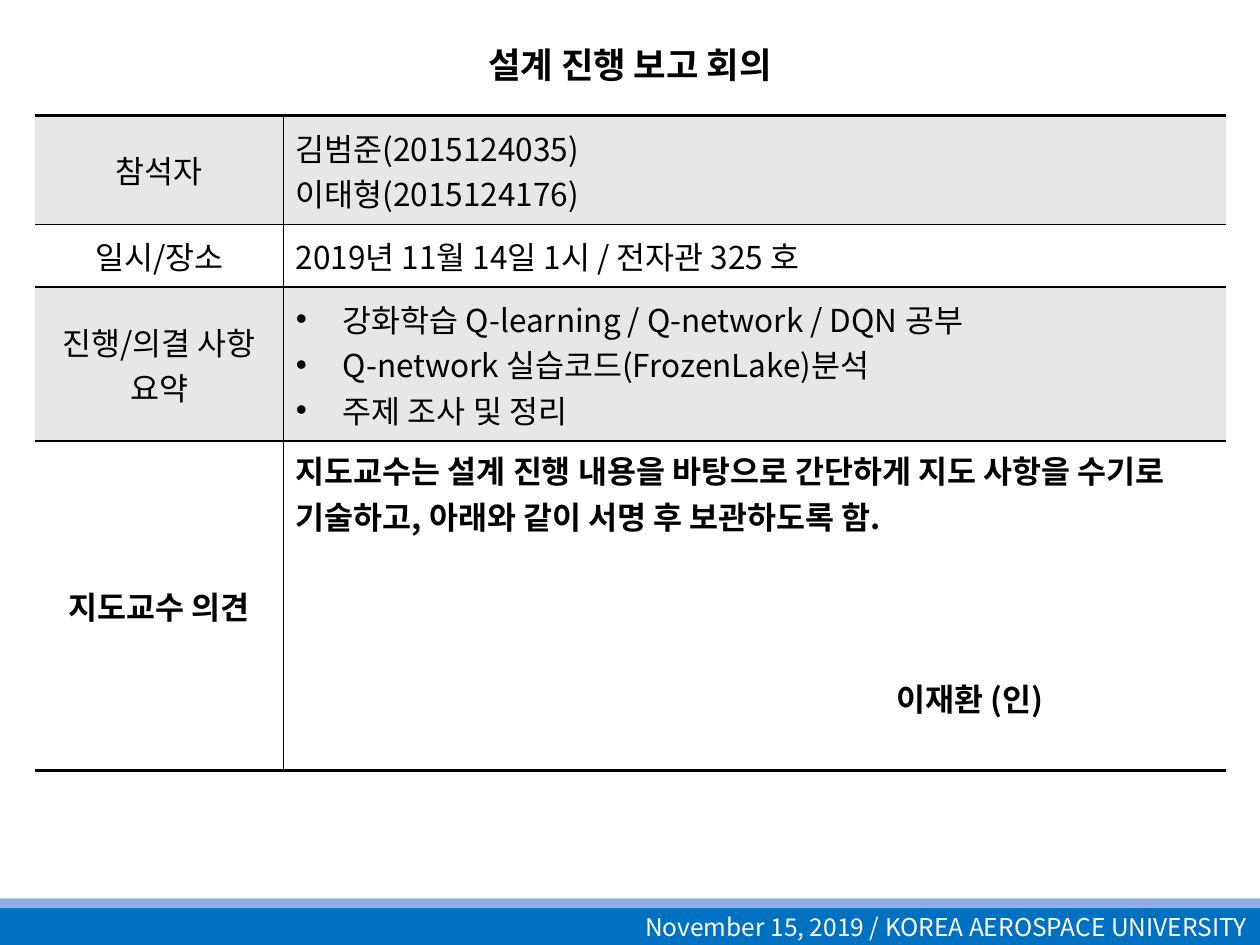
from lxml.etree import SubElement
from pptx import Presentation
from pptx.dml.color import RGBColor
from pptx.enum.shapes import MSO_SHAPE
from pptx.enum.text import MSO_ANCHOR, PP_ALIGN
from pptx.oxml.ns import qn
from pptx.util import Cm, Pt

TITLE = "설계 진행 보고 회의"
FOOTER = "November 15, 2019 / KOREA AEROSPACE UNIVERSITY"
ROWS = [
    {"label": "참석자", "height": 2.2,
     "lines": ["김범준(2015124035)", "이태형(2015124176)"]},
    {"label": "일시/장소", "height": 1.26,
     "lines": ["2019년 11월 14일 1시 / 전자관 325 호"]},
    {"label": "진행/의결 사항 요약", "height": 3.1, "bulleted": True,
     "lines": ["강화학습 Q-learning / Q-network / DQN 공부",
               "Q-network 실습코드(FrozenLake)분석",
               "주제 조사 및 정리"]},
    {"label": "지도교수 의견", "height": 6.65, "bold": True,
     "lines": ["지도교수는 설계 진행 내용을 바탕으로 간단하게 지도 사항을 수기로 "
               "기술하고, 아래와 같이 서명 후 보관하도록 함."],
     "signature": "이재환 (인)"},
]
THEME = {
    "font": "Noto Sans CJK KR",
    "title_size": 25.2, "body_size": 18, "footer_size": 14,
    "text": "000000", "footer_text": "FFFFFF",
    "bar": "0070C0", "stripe": "8FADE9",
    "row_fills": ("E7E7E7", "FFFFFF"),
}
SLIDE_WIDTH, SLIDE_HEIGHT = 25.4, 19.05
TABLE_LEFT, TABLE_TOP = 0.71, 2.33
COLUMN_WIDTHS = (5, 19)
BAR_HEIGHT, STRIPE_HEIGHT = 0.74, 0.2
BULLET_INDENT = 0.95
SIGNATURE_INDENT, SIGNATURE_GAP = 12.1, 78


def style_paragraph(paragraph, size, color, bold=False, align=PP_ALIGN.LEFT):
    paragraph.alignment = align
    for run in paragraph.runs:
        font = run.font
        font.size, font.bold, font.name = Pt(size), bold, THEME["font"]
        font.color.rgb = RGBColor.from_string(color)
        SubElement(font._element, qn("a:ea"), typeface=THEME["font"])


def set_indent(paragraph, left, first_line=0):
    properties = paragraph._p.get_or_add_pPr()
    properties.set("marL", str(Cm(left)))
    properties.set("indent", str(Cm(first_line)))
    return properties


def add_bullet(paragraph):
    properties = set_indent(paragraph, BULLET_INDENT, -BULLET_INDENT)
    SubElement(properties, qn("a:buFont"), typeface="Arial")
    SubElement(properties, qn("a:buChar"), char="•")


def set_borders(cell, widths):
    """Draw left, right, top and bottom borders; a width of 0 means none."""
    properties = cell._tc.get_or_add_tcPr()
    for side, width in zip("LRTB", widths):
        line = SubElement(properties, qn(f"a:ln{side}"), w=str(Pt(width)))
        if width:
            fill = SubElement(line, qn("a:solidFill"))
            SubElement(fill, qn("a:srgbClr"), val=THEME["text"])
        else:
            SubElement(line, qn("a:noFill"))


def fill_cell(cell, lines, align=PP_ALIGN.LEFT, bold=False):
    cell.text_frame.text = "\n".join(lines)
    for paragraph in cell.text_frame.paragraphs:
        style_paragraph(paragraph, THEME["body_size"], THEME["text"], bold, align)


def add_title(slide):
    title = slide.shapes.title
    title.left, title.top, title.width, title.height = Cm(1.9), Cm(0.53), Cm(21.6), Cm(1.4)
    title.text_frame.text = TITLE
    title.text_frame.vertical_anchor = MSO_ANCHOR.MIDDLE
    paragraph = title.text_frame.paragraphs[0]
    style_paragraph(paragraph, THEME["title_size"], THEME["text"], True, PP_ALIGN.CENTER)
    paragraph.runs[0].font._element.set("cap", "small")


def add_report_table(slide):
    table = slide.shapes.add_table(
        len(ROWS), len(COLUMN_WIDTHS), Cm(TABLE_LEFT), Cm(TABLE_TOP),
        Cm(sum(COLUMN_WIDTHS)), Cm(sum(row["height"] for row in ROWS))).table
    table.first_row = table.horz_banding = False
    for column, width in zip(table.columns, COLUMN_WIDTHS):
        column.width = Cm(width)

    for index, row in enumerate(ROWS):
        table.rows[index].height = Cm(row["height"])
        label, content = table.cell(index, 0), table.cell(index, 1)
        bold = row.get("bold", False)
        signature = row.get("signature")
        fill_cell(label, [row["label"]], PP_ALIGN.CENTER, bold)
        fill_cell(content, row["lines"] + ([signature] if signature else []), bold=bold)

        top = 2 if index == 0 else 1
        bottom = 2 if index == len(ROWS) - 1 else 1
        for cell, left, right in ((label, 0, 1), (content, 1, 0)):
            cell.vertical_anchor = MSO_ANCHOR.MIDDLE
            set_borders(cell, (left, right, top, bottom))
            cell.fill.solid()
            cell.fill.fore_color.rgb = RGBColor.from_string(THEME["row_fills"][index % 2])

        if row.get("bulleted"):
            for paragraph in content.text_frame.paragraphs:
                add_bullet(paragraph)
        if signature:
            content.vertical_anchor = MSO_ANCHOR.TOP
            paragraph = content.text_frame.paragraphs[-1]
            paragraph.space_before = Pt(SIGNATURE_GAP)
            set_indent(paragraph, SIGNATURE_INDENT)


def add_bar(slide, top, height, color):
    bar = slide.shapes.add_shape(
        MSO_SHAPE.RECTANGLE, 0, Cm(top), Cm(SLIDE_WIDTH), Cm(height))
    bar.shadow.inherit = False
    bar.fill.solid()
    bar.fill.fore_color.rgb = RGBColor.from_string(color)
    bar.line.fill.background()
    return bar


def add_footer(slide):
    bar_top = SLIDE_HEIGHT - BAR_HEIGHT
    bar = add_bar(slide, bar_top, BAR_HEIGHT, THEME["bar"])
    bar.text_frame.text = FOOTER
    bar.text_frame.vertical_anchor = MSO_ANCHOR.MIDDLE
    style_paragraph(bar.text_frame.paragraphs[0], THEME["footer_size"],
                    THEME["footer_text"], align=PP_ALIGN.RIGHT)
    add_bar(slide, bar_top - STRIPE_HEIGHT, STRIPE_HEIGHT, THEME["stripe"])


def main():
    presentation = Presentation()
    presentation.slide_width, presentation.slide_height = Cm(SLIDE_WIDTH), Cm(SLIDE_HEIGHT)
    slide = presentation.slides.add_slide(presentation.slide_layouts.get_by_name("Title Only"))
    add_footer(slide)
    add_title(slide)
    add_report_table(slide)
    presentation.save("out.pptx")


if __name__ == "__main__":
    main()
